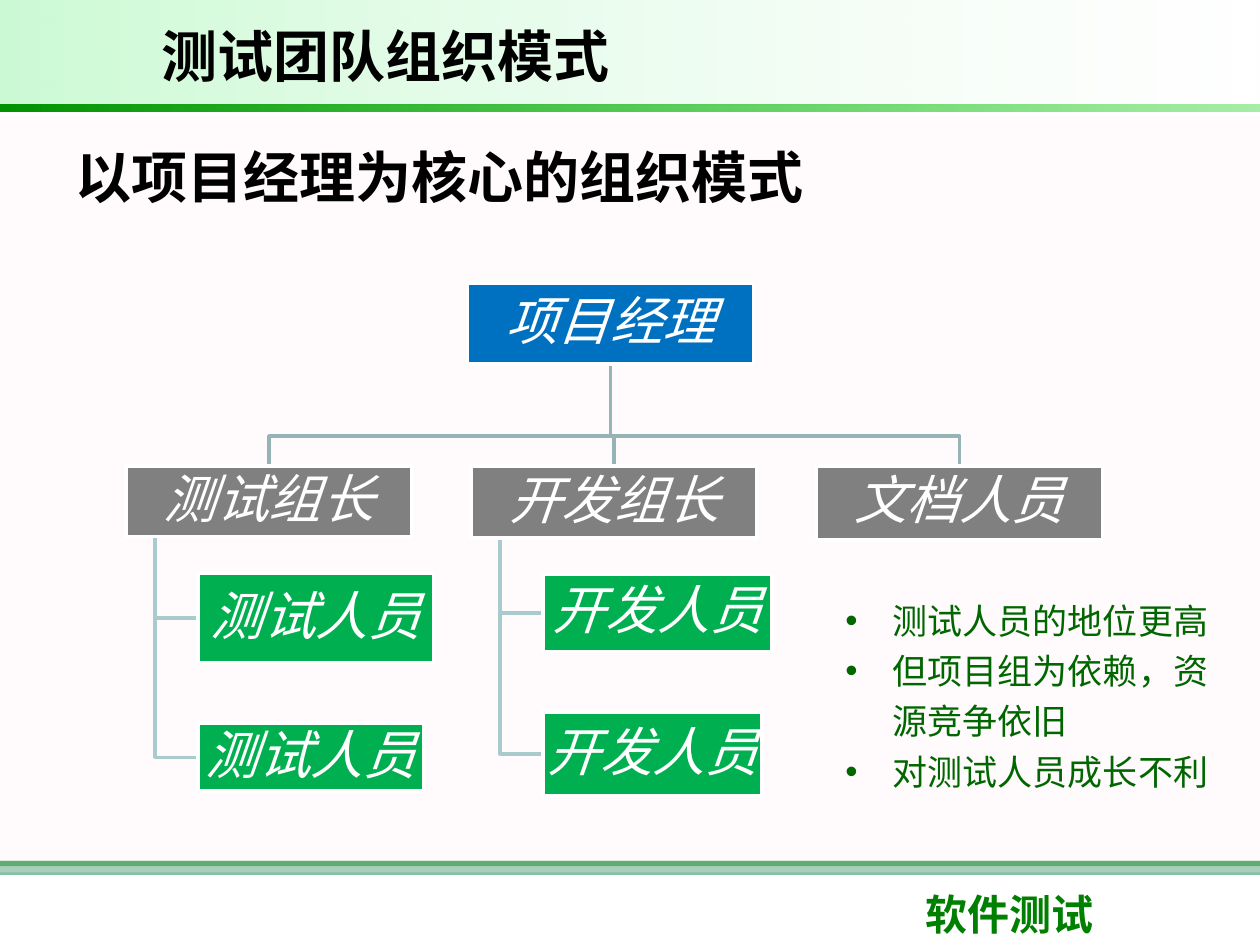
from pptx import Presentation
from pptx import util as u
from pptx.dml.color import RGBColor
from pptx.enum import shapes, text
from pptx.oxml import ns, xmlchemy

WHITE = RGBColor(0xFF, 0xFF, 0xFF)
BLACK = RGBColor(0, 0, 0)
PINK = RGBColor(0xFF, 0xF0, 0xF5)
GREEN = RGBColor(0, 0x80, 0)
SEA_GREEN = RGBColor(0x33, 0x99, 0x66)
MINT = RGBColor(0x09, 0xE7, 0x33)
LIME = RGBColor(0, 0xCC, 0)
LEAF = RGBColor(0, 0x92, 0)
NOTE_GREEN = RGBColor(0, 0x66, 0)
MANAGER_BLUE = RGBColor(0, 0x70, 0xC0)
LEADER_GREY = RGBColor(0x80, 0x80, 0x80)
MEMBER_GREEN = RGBColor(0, 0xB0, 0x50)
UPPER_LINK = RGBColor(0x96, 0xB3, 0xB6)
LOWER_LINK = RGBColor(0xAA, 0xCB, 0xCE)

HEADING = {"name": "Arial", "size": u.Pt(32), "bold": True}
ROLE = {"name": "Arial", "size": u.Pt(30), "italic": True}
FOOTER = {"name": "Roboto", "size": u.Pt(24), "bold": True}
NOTE = {"name": "Noto Sans CJK SC", "size": u.Pt(20)}

LEADER_LEFT, LEADER_TOP, LEADER_PITCH = 72, 266.4, 197.28
BOX_WIDTH = 163.44
TRUNK_INDENT, MEMBER_INDENT = 16.56, 41.04
MANAGER_LEFT, MANAGER_TOP, MANAGER_HEIGHT = 267.12, 162, 46.08
JUNCTION = 249.12

TEAMS = [
    ("测试组长", 40.3, "测试人员", [(327.6, 134.6, 51.1), (413.3, 128.9, 38.9)]),
    ("开发组长", 41, "开发人员", [(328.3, 131, 43.9), (406.8, 125.3, 48.2)]),
    ("文档人员", 41.8, "", []),
]
NOTES = ["测试人员的地位更高", "但项目组为依赖，资源竞争依旧", "对测试人员成长不利"]


def points(*values):
    return [u.Pt(value) for value in values]


def write(paragraph, words, style, color):
    run = paragraph.add_run()
    run.text = words
    for key, value in style.items():
        setattr(run.font, key, value)
    run.font.color.rgb = color
    east_asian = xmlchemy.OxmlElement("a:ea")
    east_asian.set("typeface", style["name"])
    run.font._element.find(ns.qn("a:latin")).addnext(east_asian)


def set_alphas(shape, percents):
    colors = shape._element.spPr.iter(ns.qn("a:srgbClr"))
    for color, percent in zip(list(colors), percents):
        alpha = xmlchemy.OxmlElement("a:alpha")
        alpha.set("val", str(percent * 1000))
        color.append(alpha)


def add_rectangle(slide, place):
    shape = slide.shapes.add_shape(shapes.MSO_SHAPE.RECTANGLE, *points(*place))
    shape.shadow.inherit = False
    shape.line.fill.background()
    return shape


def add_band(slide, top, height, color, alpha=100):
    band = add_rectangle(slide, (0, top, 720, height))
    band.fill.solid()
    band.fill.fore_color.rgb = color
    if alpha < 100:
        set_alphas(band, [alpha])


def add_fade(slide, top, height, colors, alphas):
    fade = add_rectangle(slide, (0, top, 720, height))
    fade.fill.gradient()
    fade.fill.gradient_angle = 0
    for stop, color in zip(fade.fill.gradient_stops, colors):
        stop.color.rgb = color
    set_alphas(fade, alphas)


def add_label(slide, place, words, style, color, anchor=text.MSO_ANCHOR.MIDDLE):
    frame = slide.shapes.add_textbox(*points(*place)).text_frame
    frame.word_wrap = True
    frame.vertical_anchor = anchor
    write(frame.paragraphs[0], words, style, color)


def add_role(slide, place, words, color):
    box = add_rectangle(slide, place)
    box.fill.solid()
    box.fill.fore_color.rgb = color
    box.line.color.rgb = WHITE
    box.line.width = u.Pt(2)
    frame = box.text_frame
    frame.word_wrap = True
    frame.vertical_anchor = text.MSO_ANCHOR.MIDDLE
    for side in ("left", "right", "top", "bottom"):
        setattr(frame, f"margin_{side}", u.Pt(1.5))
    paragraph = frame.paragraphs[0]
    paragraph.alignment = text.PP_ALIGN.CENTER
    paragraph.line_spacing = 0.9
    write(paragraph, words, ROLE, WHITE)


def add_link(slide, color, start, *corners):
    builder = slide.shapes.build_freeform(*points(*start))
    builder.add_line_segments([points(*corner) for corner in corners], close=False)
    link = builder.convert_to_shape()
    link.shadow.inherit = False
    link.fill.background()
    link.line.color.rgb = color
    link.line.width = u.Pt(2)


def add_notes(slide, place):
    frame = slide.shapes.add_textbox(*points(*place)).text_frame
    frame.word_wrap = True
    for index, words in enumerate(NOTES):
        paragraph = frame.add_paragraph() if index else frame.paragraphs[0]
        paragraph.line_spacing = 1.2
        properties = paragraph._p.get_or_add_pPr()
        properties.set("marL", str(u.Pt(27)))
        properties.set("indent", str(u.Pt(-27)))
        for tag, key, value in (("a:buFont", "typeface", "Arial"), ("a:buChar", "char", "•")):
            bullet = xmlchemy.OxmlElement(tag)
            bullet.set(key, value)
            properties.append(bullet)
        write(paragraph, words, NOTE, NOTE_GREEN)


def add_organisation(slide):
    manager_middle = MANAGER_LEFT + BOX_WIDTH / 2
    lefts = [LEADER_LEFT + LEADER_PITCH * index for index in range(len(TEAMS))]
    for left, (_, leader_height, _, members) in zip(lefts, TEAMS):
        middle = left + BOX_WIDTH / 2
        add_link(slide, UPPER_LINK, (manager_middle, MANAGER_TOP + MANAGER_HEIGHT),
                 (manager_middle, JUNCTION), (middle, JUNCTION), (middle, LEADER_TOP))
        trunk = left + TRUNK_INDENT
        for top, _, height in members:
            level = top + height / 2
            add_link(slide, LOWER_LINK, (trunk, LEADER_TOP + leader_height),
                     (trunk, level), (left + MEMBER_INDENT, level))
    add_role(slide, (MANAGER_LEFT, MANAGER_TOP, BOX_WIDTH, MANAGER_HEIGHT),
             "项目经理", MANAGER_BLUE)
    for left, (leader, leader_height, member, members) in zip(lefts, TEAMS):
        add_role(slide, (left, LEADER_TOP, BOX_WIDTH, leader_height), leader, LEADER_GREY)
        for top, width, height in members:
            add_role(slide, (left + MEMBER_INDENT, top, width, height), member, MEMBER_GREEN)


def main():
    deck = Presentation()
    deck.slide_width, deck.slide_height = points(720, 540)
    slide = deck.slides.add_slide(deck.slide_layouts[6])
    add_band(slide, 492, 3, GREEN)
    add_band(slide, 492, 8, SEA_GREEN, 60)
    add_band(slide, 66.5, 432, PINK, 30)
    add_label(slide, (522, 504, 170.6, 36), "软件测试", FOOTER, GREEN, text.MSO_ANCHOR.TOP)
    add_fade(slide, 0, 60, (MINT, WHITE), (21, 10))
    add_fade(slide, 60, 3.6, (LEAF, LIME), (100, 35))
    add_label(slide, (36, 55.5, 666, 90), "以项目经理为核心的组织模式", HEADING, BLACK)
    add_organisation(slide)
    add_label(slide, (85, 5.8, 502, 51), "测试团队组织模式", HEADING, BLACK)
    add_notes(slide, (476, 334, 221.8, 121))
    deck.save("out.pptx")


if __name__ == "__main__":
    main()
